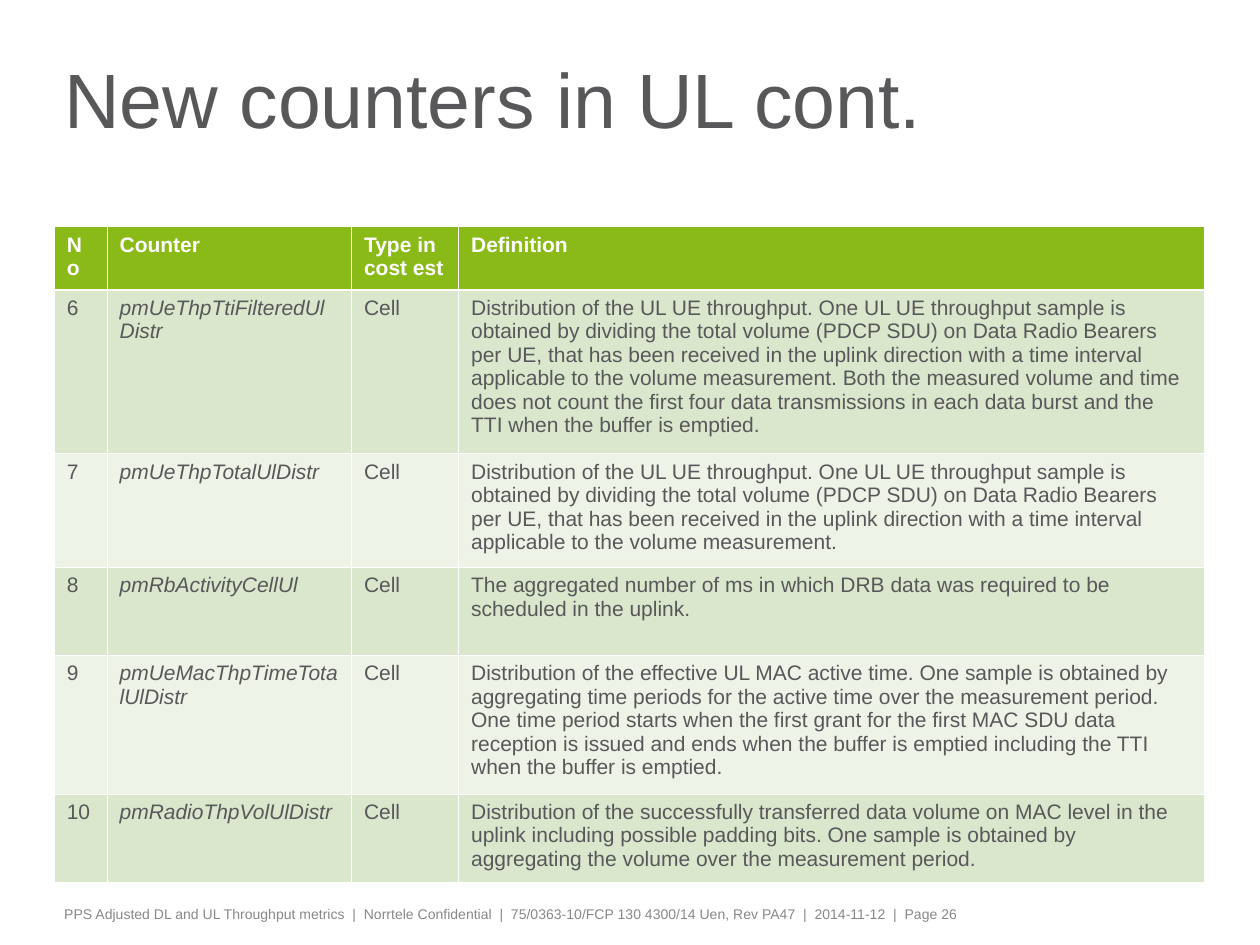
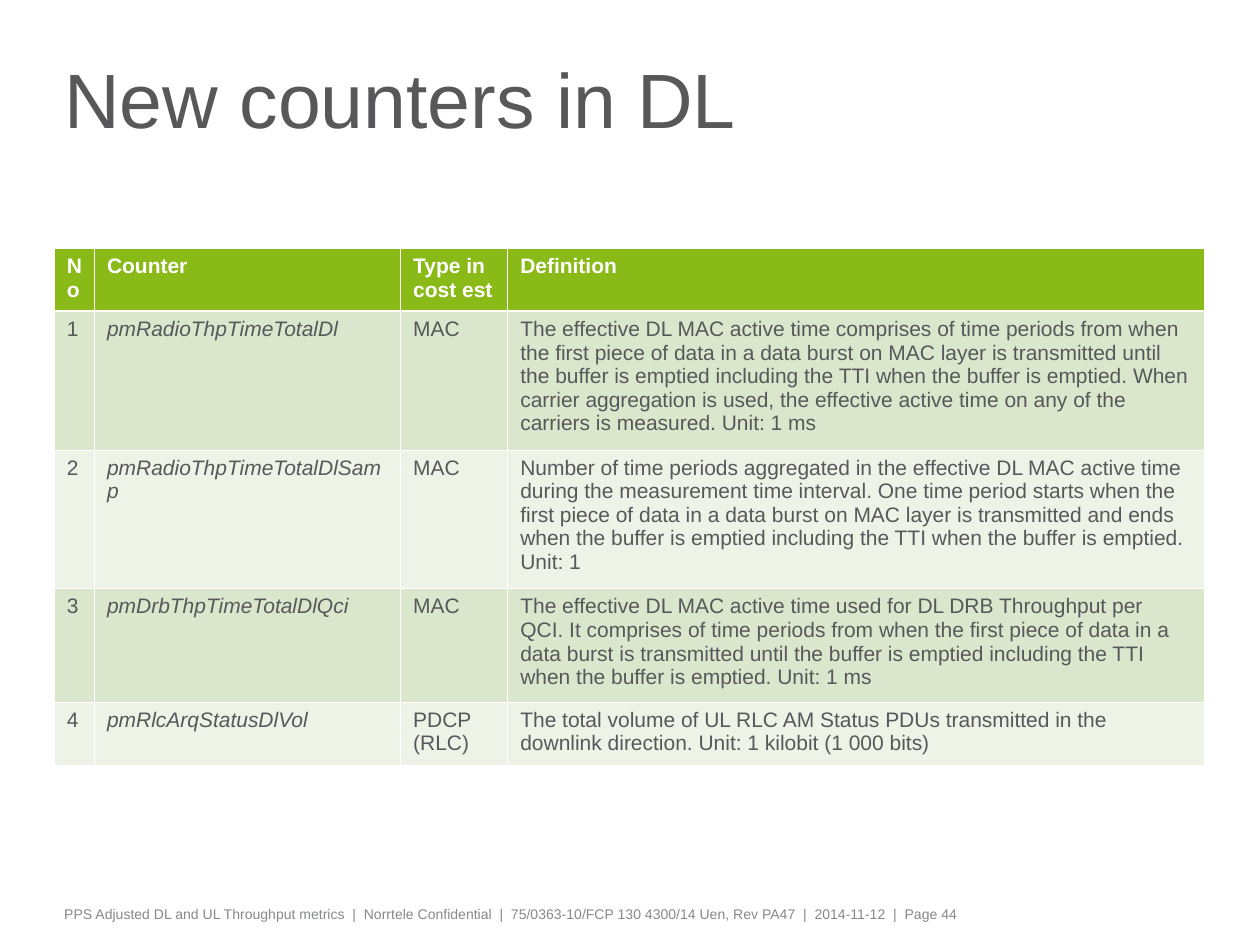
from lxml.etree import SubElement
from pptx import Presentation
from pptx.dml.color import RGBColor
from pptx.enum.text import MSO_ANCHOR, MSO_AUTO_SIZE, PP_ALIGN
from pptx.oxml.ns import qn
from pptx.util import Inches, Pt

WHITE = RGBColor(0xFF, 0xFF, 0xFF)
DARK = RGBColor(0x58, 0x58, 0x5A)
GREY = RGBColor(0x87, 0x88, 0x8A)
GREEN = RGBColor(0x89, 0xBA, 0x17)
BANDS = [RGBColor(0xED, 0xF3, 0xE7), RGBColor(0xDA, 0xE7, 0xCC)]

TITLE = {"size": Pt(44), "color": DARK}
FOOT = {"size": Pt(8), "color": GREY}
HEAD = {"size": Pt(12), "color": WHITE, "bold": True}
CELL = {"size": Pt(12), "color": DARK, "bold": False}
NAME = {**CELL, "italic": True}

LEFT = 0.43
TITLE_BOX = (LEFT, 0.26, 8.2, 1.19)
FOOT_BOX = (LEFT, 7.14, 8.09, 0.24)
HEADS = ("No", "Counter", "Type in cost est", "Definition")
FOOT_TEXT = (
    "PPS Adjusted DL and UL Throughput metrics  |  Norrtele Confidential  |  "
    "75/0363-10/FCP 130 4300/14 Uen, Rev PA47  |  2014-11-12  |  Page {}"
)

UPLINK = {
    "title": "New counters in UL cont.",
    "page": 26,
    "top": 1.8,
    "cols": (0.42, 1.94, 0.85, 5.92),
    "rows": (0.5, 1.3, 0.9, 0.7, 1.1, 0.7),
    "data": [
        ("6", "pmUeThpTtiFilteredUlDistr", "Cell",
         "Distribution of the UL UE throughput. One UL UE throughput sample is "
         "obtained by dividing the total volume (PDCP SDU) on Data Radio Bearers "
         "per UE, that has been received in the uplink direction with a time "
         "interval applicable to the volume measurement. Both the measured volume "
         "and time does not count the first four data transmissions in each data "
         "burst and the TTI when the buffer is emptied."),
        ("7", "pmUeThpTotalUlDistr", "Cell",
         "Distribution of the UL UE throughput. One UL UE throughput sample is "
         "obtained by dividing the total volume (PDCP SDU) on Data Radio Bearers "
         "per UE, that has been received in the uplink direction with a time "
         "interval applicable to the volume measurement."),
        ("8", "pmRbActivityCellUl", "Cell",
         "The aggregated number of ms in which DRB data was required to be "
         "scheduled in the uplink."),
        ("9", "pmUeMacThpTimeTotalUlDistr", "Cell",
         "Distribution of the effective UL MAC active time. One sample is obtained "
         "by aggregating time periods for the active time over the measurement "
         "period.\n"
         "One time period starts when the first grant for the first MAC SDU data "
         "reception is issued and ends when the buffer is emptied including the "
         "TTI when the buffer is emptied."),
        ("10", "pmRadioThpVolUlDistr", "Cell",
         "Distribution of the successfully transferred data volume on MAC level in "
         "the uplink including possible padding bits. One sample is obtained by "
         "aggregating the volume over the measurement period."),
    ],
}

DOWNLINK = {
    "title": "New counters in DL",
    "page": 44,
    "top": 1.97,
    "cols": (0.32, 2.43, 0.85, 5.53),
    "rows": (0.5, 1.1, 1.1, 0.9, 0.5),
    "data": [
        ("1", "pmRadioThpTimeTotalDl", "MAC",
         "The effective DL MAC active time comprises of time periods from when the "
         "first piece of data in a data burst on MAC layer is transmitted until "
         "the buffer is emptied including the TTI when the buffer is emptied. When "
         "carrier aggregation is used, the effective active time on any of the "
         "carriers is measured. Unit: 1 ms"),
        ("2", "pmRadioThpTimeTotalDlSamp", "MAC",
         "Number of time periods aggregated in the effective DL MAC active time "
         "during the measurement time interval. One time period starts when the "
         "first piece of data in a data burst on MAC layer is transmitted and ends "
         "when the buffer is emptied including the TTI when the buffer is emptied. "
         "Unit: 1"),
        ("3", "pmDrbThpTimeTotalDlQci", "MAC",
         "The effective DL MAC active time used for DL DRB Throughput per QCI. It "
         "comprises of time periods from when the first piece of data in a data "
         "burst is transmitted until the buffer is emptied including the TTI when "
         "the buffer is emptied. Unit: 1 ms"),
        ("4", "pmRlcArqStatusDlVol", "PDCP (RLC)",
         "The total volume of UL RLC AM Status PDUs transmitted in the downlink "
         "direction. Unit: 1 kilobit (1 000 bits)"),
    ],
}


def style(frame, text, look):
    frame.text = text
    for para in frame.paragraphs:
        para.alignment = PP_ALIGN.LEFT
        para.font.name = "Arial"
        for key, value in look.items():
            if key == "color":
                para.font.color.rgb = value
            else:
                setattr(para.font, key, value)


def inset(item, side, edge):
    values = {"margin_left": side, "margin_right": side,
              "margin_top": edge, "margin_bottom": edge}
    for key, value in values.items():
        setattr(item, key, Inches(value))


def add_title(slide, box, text):
    title = slide.shapes.title
    for key, value in zip(("left", "top", "width", "height"), box):
        setattr(title, key, Inches(value))
    frame = title.text_frame
    frame.word_wrap = True
    frame.auto_size = MSO_AUTO_SIZE.NONE
    frame.vertical_anchor = MSO_ANCHOR.MIDDLE
    inset(frame, 0.08, 0)
    style(frame, text, TITLE)
    frame.paragraphs[0].line_spacing = 0.75


def add_footer(slide, box, page):
    frame = slide.shapes.add_textbox(*map(Inches, box)).text_frame
    frame.word_wrap = True
    inset(frame, 0.08, 0.05)
    style(frame, FOOT_TEXT.format(page), FOOT)


def add_edges(cell, top, bottom):
    props = cell._tc.get_or_add_tcPr()
    widths = {"a:lnL": 0.45, "a:lnR": 0.45, "a:lnT": top, "a:lnB": bottom}
    for tag, width in widths.items():
        line = SubElement(props, qn(tag), w=str(Pt(width)))
        fill = SubElement(line, qn("a:solidFill"))
        SubElement(fill, qn("a:srgbClr"), val=str(WHITE))


def add_cell(cell, text, row, col):
    add_edges(cell, 1.47 if row == 1 else 0.45, 1.47 if row == 0 else 0.45)
    cell.fill.solid()
    cell.fill.fore_color.rgb = BANDS[row % 2] if row else GREEN
    inset(cell, 0.1, 0.05)
    look = HEAD if row == 0 else NAME if col == 1 else CELL
    style(cell.text_frame, text, look)


def add_counters(slide, left, top, cols, rows, data):
    box = map(Inches, (left, top, sum(cols), sum(rows)))
    table = slide.shapes.add_table(len(rows), len(cols), *box).table
    for col, width in zip(table.columns, cols):
        col.width = Inches(width)
    for row, height in zip(table.rows, rows):
        row.height = Inches(height)
    for r, texts in enumerate([HEADS, *data]):
        for c, text in enumerate(texts):
            add_cell(table.cell(r, c), text, r, c)


def add_page(deck, title, page, top, cols, rows, data):
    slide = deck.slides.add_slide(deck.slide_layouts[5])
    add_footer(slide, FOOT_BOX, page)
    add_title(slide, TITLE_BOX, title)
    add_counters(slide, LEFT, top, cols, rows, data)


def main():
    deck = Presentation()
    deck.slide_width, deck.slide_height = Inches(10), Inches(7.5)
    for topic in (UPLINK, DOWNLINK):
        add_page(deck, **topic)
    deck.save("out.pptx")


if __name__ == "__main__":
    main()
